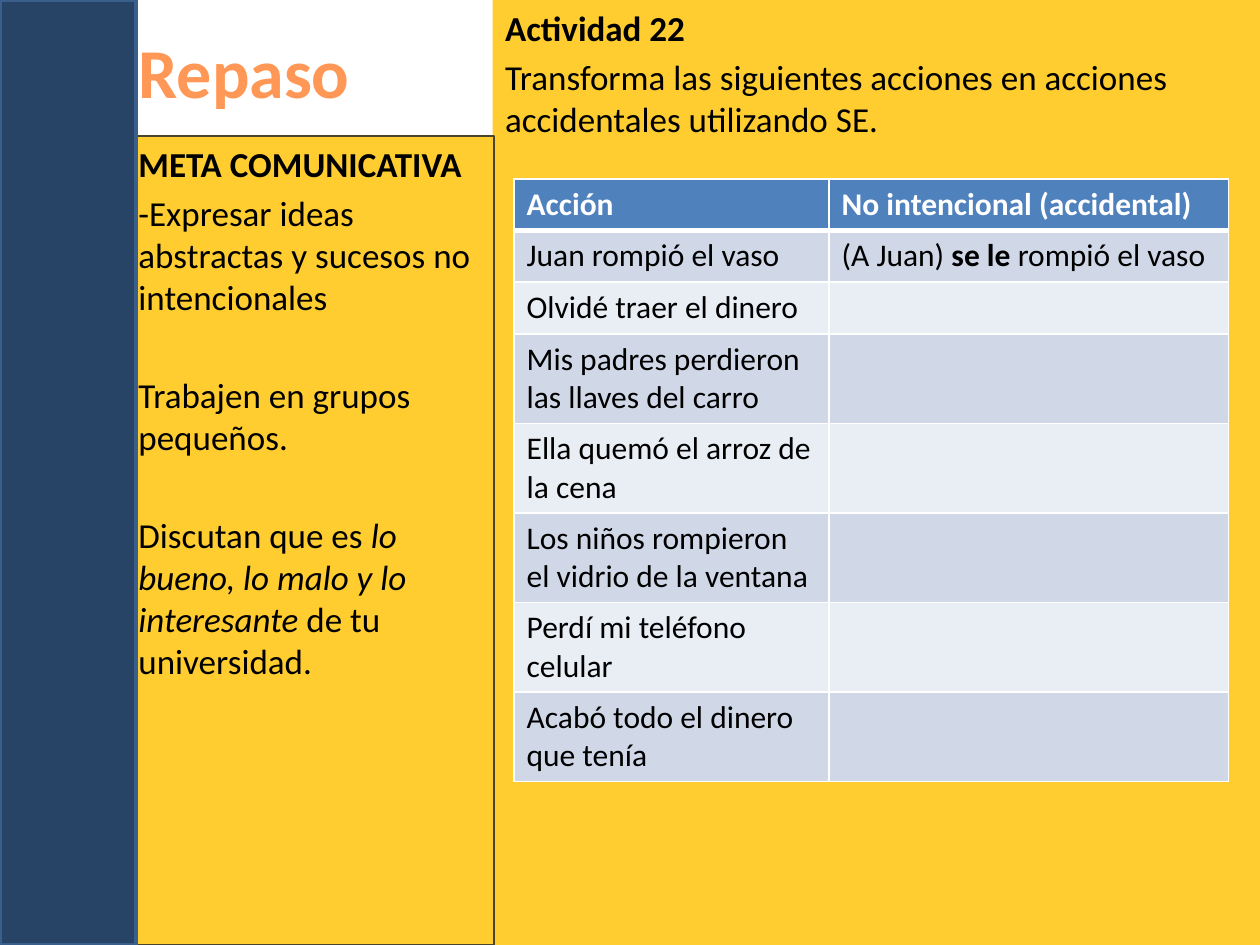
from pptx import Presentation
from pptx.dml.color import RGBColor
from pptx.enum.shapes import MSO_SHAPE
from pptx.enum.text import MSO_ANCHOR, PP_ALIGN
from pptx.oxml import parse_xml
from pptx.oxml.ns import nsdecls
from pptx.util import Inches, Pt

YELLOW, NAVY, BLUE = "FFCD2F", "274467", "4F81BD"
BANDS = ("D0D8E8", "E9EDF4")


def color(value):
    return RGBColor.from_string(value)


class SlideBuilder:
    font = "Calibri"

    def __init__(self, slide):
        self.s = slide

    def add_runs(self, p, parts, size, fill="000000", bold=False):
        """Fill a paragraph with (text, style) parts; style holds b and/or i."""
        for text, style in parts:
            r = p.add_run()
            r.text = text
            r.font.name, r.font.size = self.font, Pt(size)
            r.font.bold = bold or "b" in style
            r.font.italic = "i" in style
            r.font.color.rgb = color(fill)

    def title(self, text, box, size, fill, bottom):
        sp = self.s.shapes.title
        sp.left, sp.top, sp.width, sp.height = map(Inches, box)
        tf = sp.text_frame
        tf.word_wrap = True
        tf.vertical_anchor = MSO_ANCHOR.BOTTOM
        tf.margin_bottom = Inches(bottom)
        p = tf.paragraphs[0]
        p.alignment = PP_ALIGN.LEFT
        self.add_runs(p, [(text, "b")], size, fill)

    def panel(self, box, fill, line=None, width=0, paragraphs=()):
        """Rectangle with (space before, parts) paragraphs."""
        sp = self.s.shapes.add_shape(MSO_SHAPE.RECTANGLE, *map(Inches, box))
        sp.shadow.inherit = False
        sp.fill.solid()
        sp.fill.fore_color.rgb = color(fill)
        if line:
            sp.line.color.rgb = color(line)
            sp.line.width = Pt(width)
        else:
            sp.line.fill.background()
        tf = sp.text_frame
        tf.word_wrap = True
        tf.vertical_anchor = MSO_ANCHOR.TOP
        for i, (space, parts) in enumerate(paragraphs):
            p = tf.add_paragraph() if i else tf.paragraphs[0]
            p.alignment = PP_ALIGN.LEFT
            p.space_before = Pt(space)
            self.add_runs(p, parts, 20)

    def border(self, cell, side, width):
        cell._tc.get_or_add_tcPr().append(parse_xml(
            f'<a:ln{side} {nsdecls("a")} w="{Pt(width)}"><a:solidFill>'
            f'<a:srgbClr val="FFFFFF"/></a:solidFill></a:ln{side}>'))

    def table(self, left, top, widths, heights, rows):
        frame = self.s.shapes.add_table(
            len(rows), len(widths), Inches(left), Inches(top),
            Inches(sum(widths)), Inches(sum(heights)))
        table = frame.table
        for column, width in zip(table.columns, widths):
            column.width = Inches(width)
        for i, (row, height) in enumerate(zip(rows, heights)):
            table.rows[i].height = Inches(height)
            header = i == 0
            for j, parts in enumerate(row):
                cell = table.cell(i, j)
                for side in "LRTB":
                    heavy = (header and side == "B") or (i == 1 and side == "T")
                    self.border(cell, side, 3 if heavy else 1)
                cell.fill.solid()
                cell.fill.fore_color.rgb = color(BLUE if header else BANDS[(i - 1) % 2])
                self.add_runs(cell.text_frame.paragraphs[0], parts, 18,
                              "FFFFFF" if header else "000000", header)


def main():
    prs = Presentation()
    prs.slide_width, prs.slide_height = Inches(10), Inches(7.5)
    builder = SlideBuilder(prs.slides.add_slide(prs.slide_layouts[5]))

    # Title
    builder.title("Repaso", (1, 0, 2.79, 1.57), 40, "FF9856", bottom=0.68)

    # Activity panel
    builder.panel((3.91, 0, 6.09, 7.5), YELLOW, paragraphs=[
        (0, [("Actividad 22", "b")]),
        (4, [("Transforma las siguientes acciones en acciones "
              "accidentales utilizando SE.", "")]),
    ])

    # Communicative goal panel
    builder.panel((1, 1.08, 2.92, 6.42), YELLOW, "4A452A", 0.75, [
        (0, [("META COMUNICATIVA", "b")]),
        (4, [("-Expresar ideas abstractas y sucesos no intencionales", "")]),
        (32, [("Trabajen en grupos pequeños.", "")]),
        (32, [("Discutan que es ", ""),
              ("lo bueno, lo malo y lo interesante", "i"),
              (" de tu universidad.", "")]),
    ])

    # Side band
    builder.panel((0, 0, 1.08, 7.5), NAVY, "3A5F8C", 2)

    # Exercise table: the second column is left for the answers
    exercises = [
        "Olvidé traer el dinero",
        "Mis padres perdieron las llaves del carro",
        "Ella quemó el arroz de la cena",
        "Los niños rompieron el vidrio de la ventana",
        "Perdí mi teléfono celular",
        "Acabó todo el dinero que tenía",
    ]
    rows = [
        ([("Acción", "")], [("No intencional (accidental)", "")]),
        ([("Juan rompió el vaso", "")],
         [("(A Juan) ", ""), ("se le ", "b"), ("rompió el vaso", "")]),
    ] + [([(text, "")], []) for text in exercises]
    builder.table(4.08, 1.42, (2.5, 3.17), [0.41] * 3 + [0.7] * 5, rows)

    prs.save("out.pptx")


if __name__ == "__main__":
    main()
